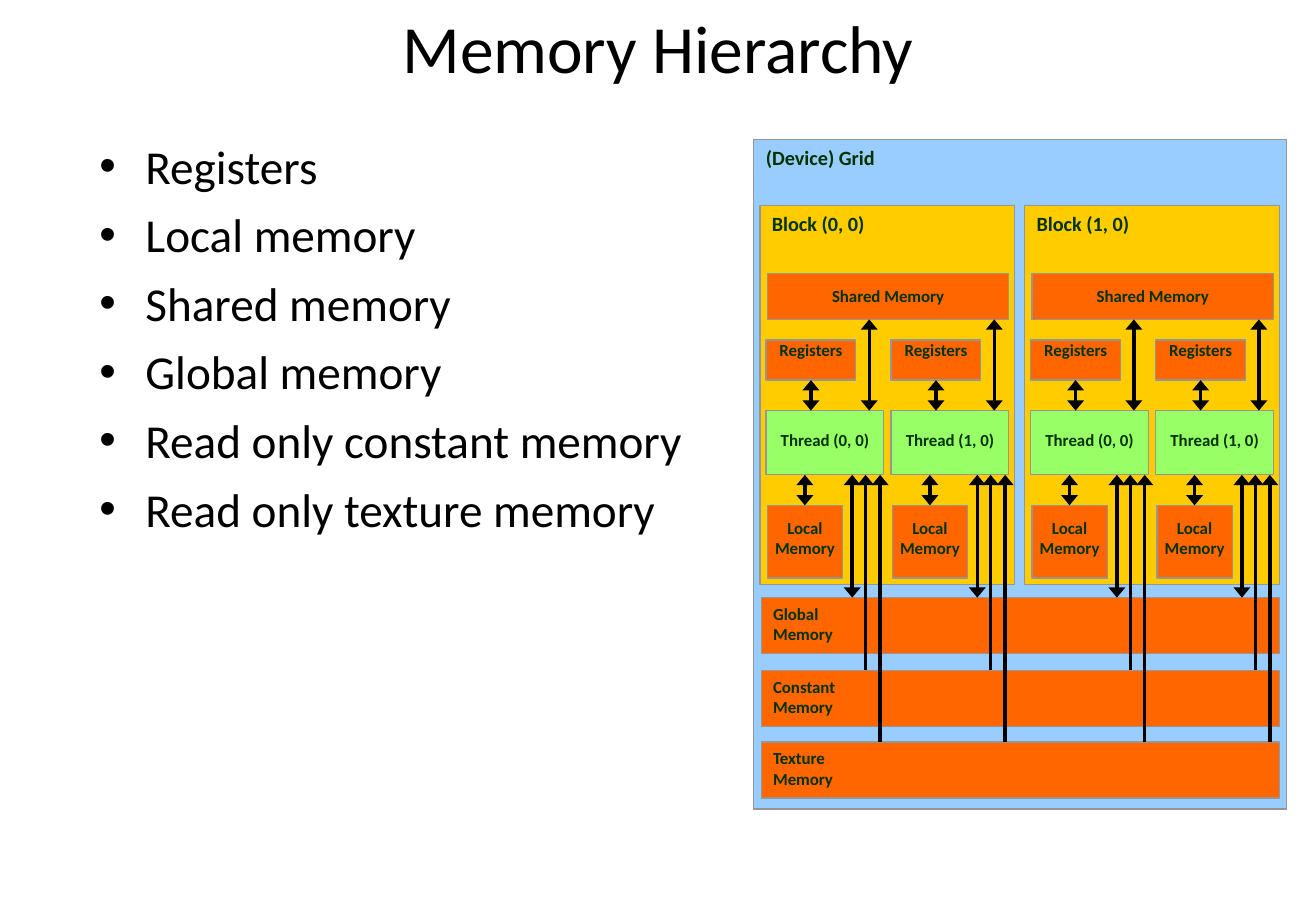
from pptx import Presentation
from pptx.dml.color import RGBColor
from pptx.enum.shapes import MSO_CONNECTOR, MSO_SHAPE
from pptx.enum.text import MSO_ANCHOR, PP_ALIGN
from pptx.oxml.ns import qn
from pptx.util import Inches, Pt
from lxml.etree import SubElement

# Content
TITLE = "Memory Hierarchy"
MEMORY_KINDS = [
    "Registers", "Local memory", "Shared memory", "Global memory",
    "Read only constant memory", "Read only texture memory",
]
GRID_LABEL = "(Device) Grid"
BLOCKS = ["Block (0, 0)", "Block (1, 0)"]
THREADS = ["Thread (0, 0)", "Thread (1, 0)"]
DEVICE_MEMORIES = [("Global\nMemory", 4.92), ("Constant\nMemory", 5.52),
                   ("Texture\nMemory", 6.11)]  # label, top

# Look
FONT = "Calibri"
BLACK, INK, EDGE = "000000", "003300", "969696"
BLUE, YELLOW, ORANGE, GREEN = "99CCFF", "FFCC00", "FF6600", "99FF66"

# Layout in inches: columns repeat per block and per thread
SLIDE_W, SLIDE_H = 10.84, 7.5
GRID_BOX = (6.21, 1.15, 4.39, 5.51)
BAR_LEFT, BAR_W, BAR_H = 6.27, 4.27, 0.46
BLOCK_LEFT, BLOCK_TOP, BLOCK_W, BLOCK_H, BLOCK_STEP = 6.26, 1.69, 2.1, 3.12, 2.18
SHARED_TOP, SHARED_H = 2.25, 0.38
THREAD_INDENT, THREAD_STEP = 0.05, 1.03
THREAD_TOP, THREAD_BOTTOM = 3.38, 3.91
LOCAL_TOP = 4.16
REGISTERS_TOP, REGISTERS_H = 2.8, 0.33

# Arrows of a thread: offset from its left edge, start, end, both ends pointed
GLOBAL_TOP, CONSTANT_TOP, TEXTURE_TOP = (top for _, top in DEVICE_MEMORIES)
THREAD_ARROWS = [
    (0.85, THREAD_TOP, SHARED_TOP + SHARED_H, True),
    (0.37, THREAD_TOP, REGISTERS_TOP + REGISTERS_H, True),
    (0.32, LOCAL_TOP, THREAD_BOTTOM, True),
    (0.71, THREAD_BOTTOM, GLOBAL_TOP, True),
    (0.94, THREAD_BOTTOM, TEXTURE_TOP, False),
    (0.82, THREAD_BOTTOM, CONSTANT_TOP, False),
]

deck = Presentation()
deck.slide_width, deck.slide_height = Inches(SLIDE_W), Inches(SLIDE_H)
slide = deck.slides.add_slide(deck.slide_layouts[6])


def color(hex_code):
    return RGBColor.from_string(hex_code)


def write(shape, text, size, ink, align=PP_ALIGN.LEFT, bold=False,
          side=0.1, above=0.05, below=0.05):
    frame = shape.text_frame
    frame.text = text
    frame.word_wrap = True
    frame.vertical_anchor = MSO_ANCHOR.TOP
    frame.margin_left = frame.margin_right = Inches(side)
    frame.margin_top, frame.margin_bottom = Inches(above), Inches(below)
    for paragraph in frame.paragraphs:
        paragraph.alignment = align
        for run in paragraph.runs:
            run.font.name, run.font.size, run.font.bold = FONT, Pt(size), bold
            run.font.color.rgb = color(ink)
    return frame


def add_box(text, left, top, width, height, fill, size=10, **style):
    box = slide.shapes.add_shape(MSO_SHAPE.RECTANGLE, Inches(left), Inches(top),
                                 Inches(width), Inches(height))
    box.shadow.inherit = False
    box.fill.solid()
    box.fill.fore_color.rgb = color(fill)
    box.line.color.rgb = color(EDGE)
    box.line.width = Pt(0.75)
    write(box, text, size, INK, bold=True, **style)


def add_centered_box(text, left, top, width, height, fill, inset):
    add_box(text, left, top, width, height, fill,
            align=PP_ALIGN.CENTER, side=0, above=inset, below=0)


def add_arrow(x, start, end, both_ends):
    arrow = slide.shapes.add_connector(MSO_CONNECTOR.STRAIGHT, Inches(x),
                                       Inches(start), Inches(x), Inches(end))
    arrow.line.color.rgb = color(BLACK)
    arrow.line.width = Pt(2)
    line = arrow.line._get_or_add_ln()
    for tag in ("a:headEnd", "a:tailEnd")[:2 if both_ends else 1]:
        SubElement(line, qn(tag), type="triangle", w="lg", len="med")
    SubElement(arrow._element.spPr, qn("a:effectLst"))


def add_thread(label, left):
    add_centered_box("Local\nMemory", left + 0.01, LOCAL_TOP, 0.62, 0.6, ORANGE, 0.1)
    add_centered_box(label, left, THREAD_TOP, 0.97, THREAD_BOTTOM - THREAD_TOP,
                     GREEN, 0.16)
    add_centered_box("Registers", left, REGISTERS_TOP, 0.74, REGISTERS_H, ORANGE, 0)
    for offset, start, end, both_ends in THREAD_ARROWS:
        add_arrow(left + offset, start, end, both_ends)


# Device grid and the memories shared by all blocks
add_box(GRID_LABEL, *GRID_BOX, BLUE, size=12)
for label, top in DEVICE_MEMORIES:
    add_box(label, BAR_LEFT, top, BAR_W, BAR_H, ORANGE)

# Blocks with their threads
for column, block in enumerate(BLOCKS):
    block_left = BLOCK_LEFT + column * BLOCK_STEP
    add_box(block, block_left, BLOCK_TOP, BLOCK_W, BLOCK_H, YELLOW, size=12)
    add_centered_box("Shared Memory", block_left + 0.06, SHARED_TOP, 1.99, SHARED_H,
                     ORANGE, 0.1)
    for position, thread in enumerate(THREADS):
        add_thread(thread, block_left + THREAD_INDENT + position * THREAD_STEP)

# Title
heading = slide.shapes.add_textbox(0, 0, Inches(SLIDE_W), Inches(0.92))
write(heading, TITLE, 40, BLACK, align=PP_ALIGN.CENTER)

# Bullet list
kinds = slide.shapes.add_textbox(Inches(0.72), Inches(1.08), Inches(5.28), Inches(5.62))
for paragraph in write(kinds, "\n".join(MEMORY_KINDS), 28, BLACK).paragraphs:
    paragraph.space_before = Pt(7)
    properties = paragraph._p.get_or_add_pPr()
    properties.set("marL", str(Inches(0.38)))
    properties.set("indent", str(-Inches(0.38)))
    SubElement(properties, qn("a:buFont"), typeface="Arial")
    SubElement(properties, qn("a:buChar"), char="•")

deck.save("out.pptx")
